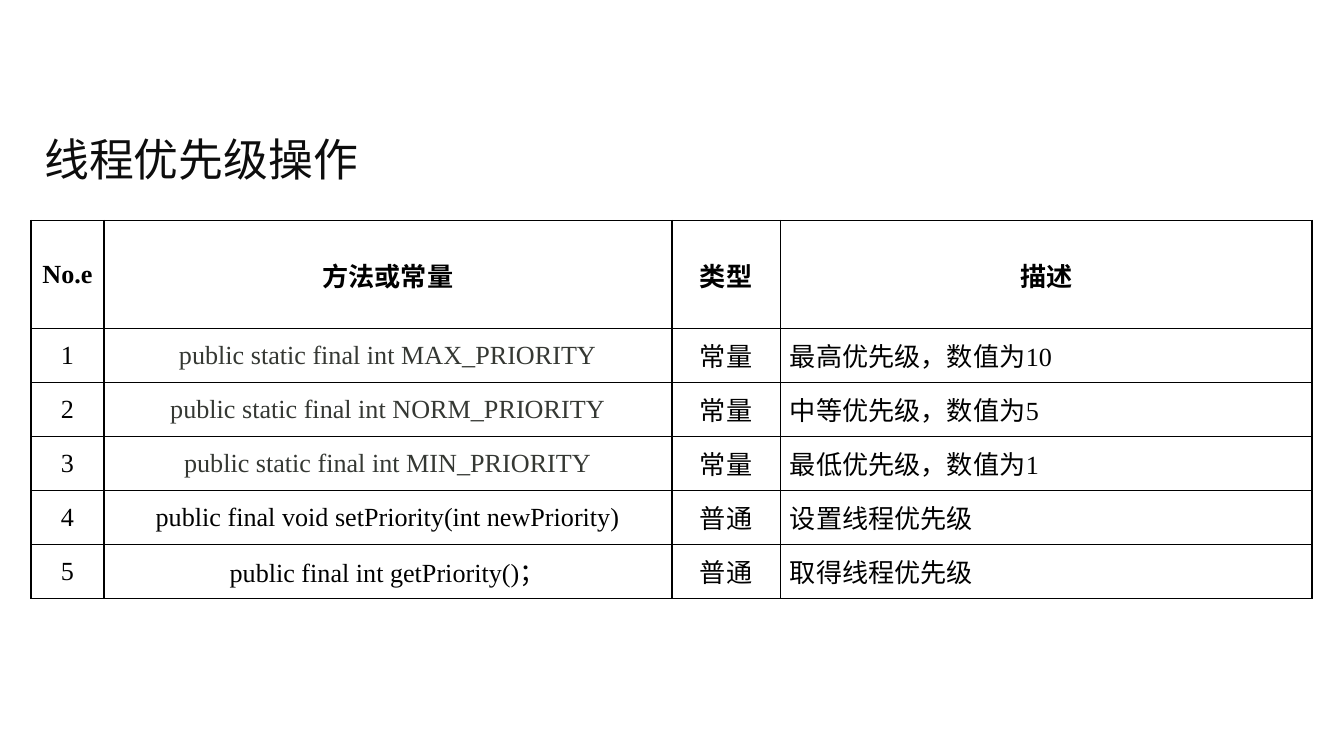
from dataclasses import dataclass

from lxml.etree import SubElement
from pptx import Presentation
from pptx.dml.color import RGBColor
from pptx.enum.text import MSO_ANCHOR, PP_ALIGN
from pptx.oxml.ns import qn
from pptx.util import Cm, Pt


@dataclass(frozen=True)
class Theme:
    latin: str = "Times New Roman"
    asian: str = "Noto Sans CJK SC"
    title_color: str = "0D0D0D"
    text_color: str = "000000"
    constant_color: str = "353833"
    border_color: str = "000000"
    title_size: int = 24
    table_size: int = 14
    border_width: int = 1


class SlideBuilder:
    """Hold the theme and the current page, and draw each kind of element on it."""

    def __init__(self, page, theme):
        self.page = page
        self.theme = theme

    def add_span(self, paragraph, text, size, color, latin, bold=False, align=PP_ALIGN.LEFT):
        paragraph.alignment = align
        span = paragraph.add_run()
        span.text = text
        span.font.color.rgb = RGBColor.from_string(color)
        for name, value in {"size": Pt(size), "name": latin, "bold": bold}.items():
            setattr(span.font, name, value)
        properties = span._r.get_or_add_rPr()
        SubElement(properties, qn("a:ea"), typeface=self.theme.asian)

    def title(self, text, left, top, width, height):
        box = self.page.shapes.add_textbox(Cm(left), Cm(top), Cm(width), Cm(height))
        frame = box.text_frame
        for name, value in {"word_wrap": True, "vertical_anchor": MSO_ANCHOR.MIDDLE}.items():
            setattr(frame, name, value)
        theme = self.theme
        self.add_span(frame.paragraphs[0], text, theme.title_size, theme.title_color, theme.asian)

    def border(self, cell):
        properties = cell._tc.get_or_add_tcPr()
        for side in ("a:lnL", "a:lnR", "a:lnT", "a:lnB"):
            line = SubElement(properties, qn(side), w=str(Pt(self.theme.border_width)))
            fill = SubElement(line, qn("a:solidFill"))
            SubElement(fill, qn("a:srgbClr"), val=self.theme.border_color)

    def cell(self, cell, text, **style):
        cell_format = {
            "vertical_anchor": MSO_ANCHOR.MIDDLE,
            "margin_left": Cm(0.18),
            "margin_right": Cm(0.18),
            "margin_top": 0,
            "margin_bottom": 0,
        }
        for name, value in cell_format.items():
            setattr(cell, name, value)
        self.border(cell)
        cell.fill.background()
        paragraph = cell.text_frame.paragraphs[0]
        self.add_span(paragraph, text, self.theme.table_size, latin=self.theme.latin, **style)

    def table(self, rows, left, top, widths, heights):
        frame = self.page.shapes.add_table(
            len(rows), len(widths), Cm(left), Cm(top), Cm(sum(widths)), Cm(sum(heights))
        )
        table = frame.table
        for name in ("first_row", "horz_banding"):
            setattr(table, name, False)
        for column, width in zip(table.columns, widths):
            column.width = Cm(width)
        for row, height in zip(table.rows, heights):
            row.height = Cm(height)
        last_column = len(widths) - 1
        for row_index, texts in enumerate(rows):
            header = row_index == 0
            for column_index, text in enumerate(texts):
                description = column_index == last_column and not header
                constant = text.startswith("public static")
                self.cell(
                    table.cell(row_index, column_index),
                    text,
                    color=self.theme.constant_color if constant else self.theme.text_color,
                    bold=header,
                    align=PP_ALIGN.JUSTIFY if description else PP_ALIGN.CENTER,
                )


HEADER = ("No.e", "方法或常量", "类型", "描述")
MEMBERS = (
    ("public static final int MAX_PRIORITY", "常量", "最高优先级，数值为10"),
    ("public static final int NORM_PRIORITY", "常量", "中等优先级，数值为5"),
    ("public static final int MIN_PRIORITY", "常量", "最低优先级，数值为1"),
    ("public final void setPriority(int newPriority)", "普通", "设置线程优先级"),
    ("public final int getPriority()；", "普通", "取得线程优先级"),
)


def main():
    deck = Presentation()
    for name, value in {"slide_width": Cm(25.4), "slide_height": Cm(14.29)}.items():
        setattr(deck, name, value)
    builder = SlideBuilder(deck.slides.add_slide(deck.slide_layouts[6]), Theme())

    left, row_height = 0.59, 1.02
    builder.title("线程优先级操作", left, 2.18, 24.21, 1.63)
    rows = [HEADER] + [(str(number), *member) for number, member in enumerate(MEMBERS, 1)]
    heights = [2 * row_height] + [row_height] * len(MEMBERS)
    builder.table(rows, left, 4.17, (1.37, 10.74, 2.05, 10.05), heights)
    deck.save("out.pptx")


if __name__ == "__main__":
    main()
